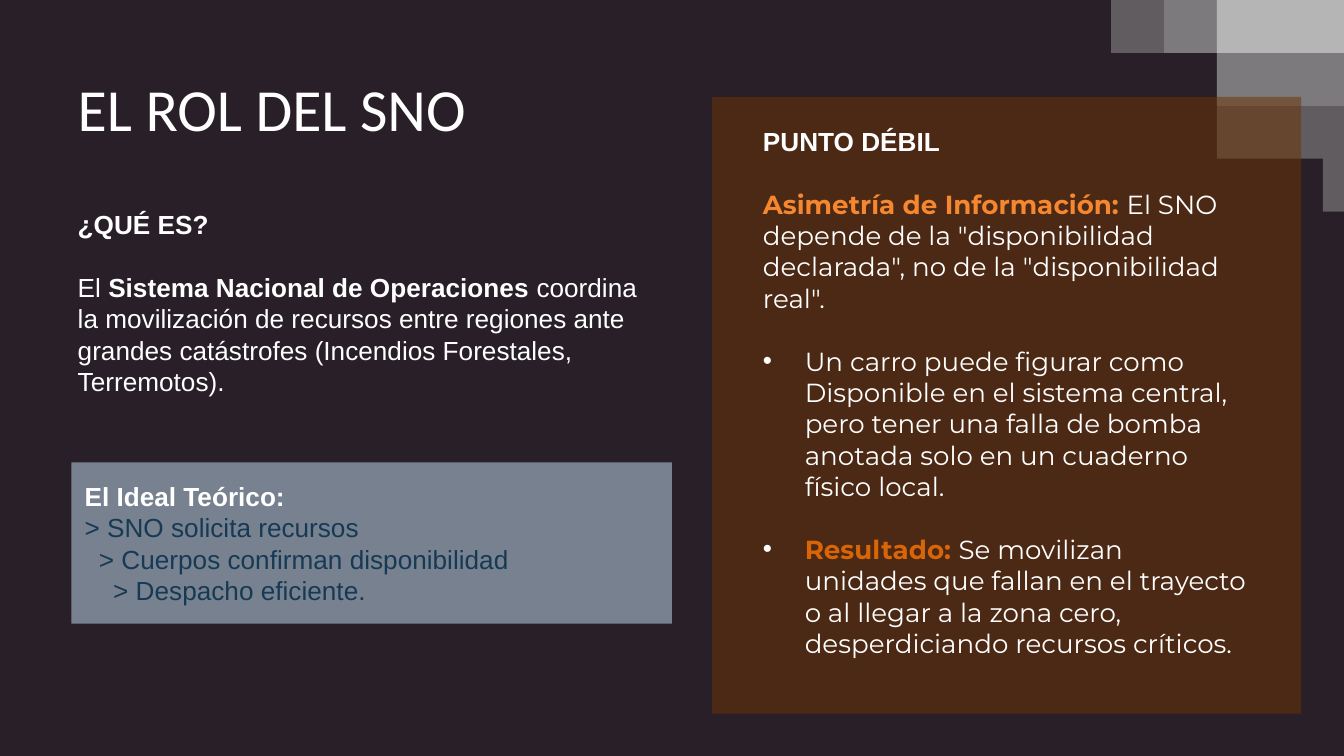
import math

from lxml import etree
from pptx import Presentation, util as u
from pptx.dml.color import RGBColor
from pptx.enum import shapes, text
from pptx.oxml import ns

WHITE, NAVY, ORANGE, RUST, GRAY = "FFFFFF", "173A54", "F4872F", "D86507", "999999"
LINE = 16.8  # line pitch of the body text, in points

# Paragraphs: options and runs of (text, colour, bold)
TITLE = [({}, [("EL ROL DEL SNO", WHITE, False)])]
DEFINITION = [
    ({}, [("¿QUÉ ES?", WHITE, True)]),
    ({"gap": True}, [
        ("El ", WHITE, False),
        ("Sistema Nacional de Operaciones", WHITE, True),
        (" coordina la movilización de recursos entre regiones ante grandes "
         "catástrofes (Incendios Forestales, Terremotos).", WHITE, False)]),
]
IDEAL = [
    ({}, [("El Ideal Teórico:", WHITE, True)]),
    ({}, [("> SNO solicita recursos", NAVY, False)]),
    ({"indent": 0.27}, [("> Cuerpos confirman disponibilidad", NAVY, False)]),
    ({"indent": 0.54}, [("> Despacho eficiente.", NAVY, False)]),
]
WEAKNESS = [
    ({"font": "Arial"}, [("PUNTO DÉBIL", WHITE, True)]),
    ({"gap": True}, [
        ("Asimetría de Información: ", ORANGE, True),
        ('El SNO depende de la "disponibilidad declarada", no de la '
         '"disponibilidad real".', WHITE, False)]),
    ({"gap": True, "bullet": True}, [
        ("Un carro puede figurar como Disponible en el sistema central, pero tener "
         "una falla de bomba anotada solo en un cuaderno físico local.", WHITE, False)]),
    ({"gap": True, "bullet": True}, [
        ("Resultado: ", RUST, True),
        ("Se movilizan unidades que fallan en el trayecto o al llegar a la zona "
         "cero, desperdiciando recursos críticos.", WHITE, False)]),
]

# Cloud outlines in percent of their box, and clouds: outline, box in cm, fill, opacity
ROUND = [(50, 2), (17, 22), (2, 55), (18, 77), (37, 84), (57, 96), (76, 98),
         (97, 82), (94, 48), (75, 10)]
SLANTED = [(17, 2), (3, 24), (7, 61), (28, 75), (54, 74), (68, 91), (97, 98),
           (92, 64), (69, 32), (43, 5)]
CLOUDS = [
    (ROUND, (20.88, -0.84, 2.54, 2.08), GRAY, 50),
    (ROUND, (22.66, -0.53, 4.9, 4.45), GRAY, 50),
    (SLANTED, (22.25, -0.99, 4.98, 3.58), GRAY, 50),
    (ROUND, (22.5, -2.57, 4.47, 4.09), "EEEEEE", 51),
]


def color(value):
    return RGBColor.from_string(value)


def paint(shape, fill, opacity):
    shape.shadow.inherit = False
    shape.fill.solid()
    shape.fill.fore_color.rgb = color(fill)
    shape.line.fill.background()
    solid = shape.fill._xPr.find(ns.qn("a:solidFill"))
    etree.SubElement(solid[0], ns.qn("a:alpha"), val=str(opacity * 1000))


def scallop(outline, box):
    """Replace each side of the outline with two outward bumps."""
    left, top, width, height = box
    corners = [(left + x * width / 100, top + y * height / 100) for x, y in outline]
    steps, bumps = 12, 2
    points = []
    for (x, y), (next_x, next_y) in zip(corners, corners[1:] + corners[:1]):
        dx, dy = next_x - x, next_y - y
        for step in range(steps):
            part = step / steps
            bulge = 0.1 * abs(math.sin(math.pi * bumps * part))
            points.append((x + dx * part - dy * bulge, y + dy * part + dx * bulge))
    return points


def add_bullet(properties):
    bullet_color = etree.SubElement(properties, ns.qn("a:buClr"))
    etree.SubElement(bullet_color, ns.qn("a:srgbClr"), val=WHITE)
    etree.SubElement(properties, ns.qn("a:buFont"), typeface="Arial")
    etree.SubElement(properties, ns.qn("a:buChar"), char="•")


def write(shape, paragraphs, font="Arial", size=14, pitch=LINE, inset=0.13,
          anchor=text.MSO_ANCHOR.TOP):
    frame = shape.text_frame
    frame.word_wrap = True
    frame.vertical_anchor = anchor
    frame.margin_left = frame.margin_right = u.Cm(0.25)
    frame.margin_top = frame.margin_bottom = u.Cm(inset)
    for index, (options, runs) in enumerate(paragraphs):
        paragraph = frame.add_paragraph() if index else frame.paragraphs[0]
        paragraph.alignment = text.PP_ALIGN.LEFT
        if pitch:
            paragraph.line_spacing = u.Pt(pitch)
        if options.get("gap"):
            paragraph.space_before = u.Pt(LINE)
        properties = paragraph._p.get_or_add_pPr()
        if options.get("bullet"):
            properties.set("marL", str(u.Cm(0.79)))
            properties.set("indent", str(-u.Cm(0.79)))
            add_bullet(properties)
        elif options.get("indent"):
            properties.set("marL", str(u.Cm(options["indent"])))
        for content, run_color, bold in runs:
            run = paragraph.add_run()
            run.text = content
            run.font.name = options.get("font", font)
            run.font.size = u.Pt(size)
            run.font.bold = bold
            run.font.color.rgb = color(run_color)


presentation = Presentation()
presentation.slide_width, presentation.slide_height = u.Cm(25.4), u.Cm(14.29)
slide = presentation.slides.add_slide(presentation.slide_layouts[6])
slide.background.fill.solid()
slide.background.fill.fore_color.rgb = color("281F28")


def add_panel(box, fill):
    panel = slide.shapes.add_shape(shapes.MSO_SHAPE.RECTANGLE, *map(u.Cm, box))
    paint(panel, fill, 53)
    return panel


def add_text(box, paragraphs, **style):
    write(slide.shapes.add_textbox(*map(u.Cm, box)), paragraphs, **style)


# Clouds in the top right corner
for outline, box, fill, opacity in CLOUDS:
    points = scallop(outline, box)
    builder = slide.shapes.build_freeform(*points[0], scale=u.Cm(1))
    builder.add_line_segments(points[1:], close=True)
    paint(builder.convert_to_shape(), fill, opacity)

# Right column: panel and weak point
add_panel((13.46, 1.83, 11.13, 11.66), "6C3304")
add_text((14.17, 2.24, 9.73, 10.44), WEAKNESS, font="Montserrat")

# Left column: title, definition and ideal case
add_text((1.22, 1.1, 11.48, 1.47), TITLE, font="Calibri", size=32, pitch=None, inset=0.25)
add_text((1.22, 3.81, 11.13, 3.84), DEFINITION)
write(add_panel((1.35, 8.74, 11.35, 3.05), "BED9ED"), IDEAL,
      inset=0.25, anchor=text.MSO_ANCHOR.MIDDLE)

presentation.save("out.pptx")
